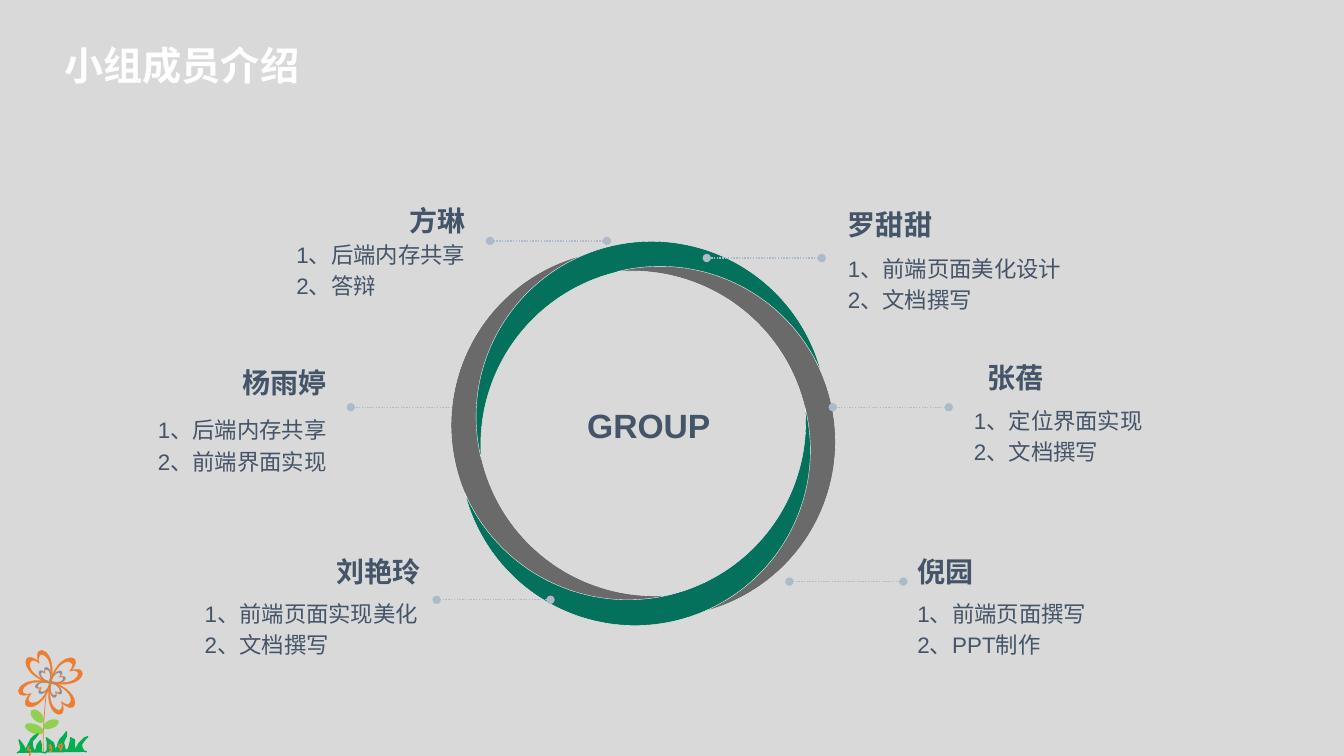
from lxml import etree
from pptx import Presentation
from pptx.dml.color import RGBColor
from pptx.enum.dml import MSO_LINE
from pptx.enum.shapes import MSO_CONNECTOR, MSO_SHAPE
from pptx.enum.text import PP_ALIGN
from pptx.oxml.ns import qn
from pptx.util import Inches, Pt

LEFT, MID, RIGHT = PP_ALIGN.LEFT, PP_ALIGN.CENTER, PP_ALIGN.RIGHT
MOON, OVAL, ARC = MSO_SHAPE.MOON, MSO_SHAPE.OVAL, MSO_SHAPE.ARC
DOTS, LINE = MSO_LINE.ROUND_DOT, MSO_CONNECTOR.STRAIGHT
INK, ORANGE, LEAF, GRASS = "445469", "F07D2D", "92D050", "00B050"

MEMBERS = [
    ("杨雨婷", (1.1, 3.63, 2.14), RIGHT, ["1、后端内存共享", "2、前端界面实现"],
     (-0.27, 0.5, 2.41), RIGHT, (2.38, 0.41, 1.15)),
    ("罗甜甜", (8.41, 2.06, 1.38), LEFT, ["1、前端页面美化设计", "2、文档撰写"],
     (0, 0.47, 2.61), LEFT, (-1.4, 0.5, 1.14)),
    ("刘艳玲", (2.03, 5.5, 2.14), RIGHT, ["1、前端页面实现美化", "2、文档撰写"],
     (0, 0.45, 2.33), LEFT, (2.3, 0.45, 1.13)),
    ("倪园", (9.1, 5.5, 2.14), LEFT, ["1、前端页面撰写", "2、PPT制作"],
     (0, 0.45, 2.57), LEFT, (-1.27, 0.27, 1.13)),
    ("张蓓", (9.79, 3.58, 2.14), LEFT, ["1、定位界面实现", "2、文档撰写"],
     (-0.13, 0.46, 2.41), LEFT, (-1.53, 0.46, 1.15)),
    ("方琳", (2.46, 2.02, 2.16), RIGHT, ["1、后端内存共享", "2、答辩"],
     (0.48, 0.37, 1.92), LEFT, (2.4, 0.37, 1.16)),
]

PETAL = [
    [(0.21, -0.19), (0.18, -0.23), (0.06, -0.2), (0.01, -0.01),
     (0.29, 0.06), (0.35, -0.16), (0.19, -0.11),
     (0.22, -0.15), (0.23, -0.18), (0.21, -0.19)],
    [(0.24, -0.23), (0.26, -0.21), (0.25, -0.17), (0.21, -0.12),
     (0.41, -0.18), (0.33, 0.09), (-0.01, 0),
     (0.06, -0.23), (0.2, -0.27), (0.24, -0.23)],
]

BLADES = [
    (0.01, 0.21), (0.04, 0.19), (0.05, 0.16), (0.04, 0.12), (0.03, 0.08),
    (0.06, 0.12), (0.08, 0.15), (0.09, 0.19), (0.11, 0.15), (0.13, 0.11),
    (0.15, 0.07), (0.18, 0.04), (0.22, 0.02), (0.19, 0.06), (0.16, 0.09),
    (0.16, 0.13), (0.17, 0.17), (0.19, 0.2), (0.2, 0.17), (0.21, 0.13),
    (0.24, 0.09), (0.25, 0.13), (0.25, 0.16), (0.25, 0.2), (0.29, 0.21),
    (0.31, 0.18), (0.31, 0.14), (0.31, 0.1), (0.3, 0.06), (0.33, 0.08),
    (0.37, 0.11), (0.38, 0.15), (0.38, 0.19), (0.41, 0.15), (0.42, 0.11),
    (0.44, 0.07), (0.47, 0.04), (0.5, 0), (0.5, 0.04), (0.48, 0.08),
    (0.47, 0.11), (0.48, 0.15), (0.49, 0.19), (0.52, 0.17), (0.53, 0.13),
    (0.54, 0.09), (0.54, 0.06), (0.58, 0.08), (0.58, 0.12), (0.58, 0.15),
    (0.57, 0.19), (0.6, 0.16), (0.62, 0.12), (0.65, 0.09), (0.68, 0.06),
    (0.71, 0.05), (0.68, 0.08), (0.65, 0.12), (0.65, 0.15), (0.67, 0.19),
    (0.7, 0.2),
]

CURLS = [
    [(0.13, 0.14), (0.11, 0.18), (0.15, 0.18)],
    [(0.32, 0.14), (0.34, 0.13), (0.35, 0.15), (0.33, 0.16), (0.35, 0.16),
     (0.35, 0.19), (0.33, 0.2)],
    [(0.45, 0.16), (0.43, 0.16), (0.42, 0.14), (0.45, 0.12), (0.46, 0.14),
     (0.45, 0.16), (0.44, 0.19)],
    [(0.14, 0.17), (0.14, 0.21), (0.13, 0.24)],
]


def tint(text):
    """Turn a hex string into a colour."""
    return RGBColor.from_string(text)


def paint(shape, fill, line, width):
    """Set fill, outline and no shadow."""
    shape.shadow.inherit = False
    if fill:
        shape.fill.solid()
        shape.fill.fore_color.rgb = tint(fill)
    else:
        shape.fill.background()
    shape.line.color.rgb = tint(line)
    shape.line.width = Pt(width)


def write(slide, box, lines, size, color=INK, bold=False, align=LEFT,
          face="Arial", inset=True):
    """Add a text box with one paragraph per line."""
    frame = slide.shapes.add_textbox(*map(Inches, box)).text_frame
    frame.word_wrap = True
    if not inset:
        frame.margin_left = frame.margin_right = 0
        frame.margin_top = frame.margin_bottom = 0
    for i, line in enumerate(lines):
        para = frame.paragraphs[0] if i == 0 else frame.add_paragraph()
        para.text = line
        para.alignment = align
        if i:
            para.space_before = Pt(size * 0.2)
        font = para.font
        font.size, font.bold, font.name = Pt(size), bold, face
        font.color.rgb = tint(color)


def link(slide, x, y, width):
    """Draw a dotted line with a dot at each end."""
    wire = slide.shapes.add_connector(
        LINE, Inches(x + width), Inches(y), Inches(x), Inches(y))
    wire.line.color.rgb = tint("ADBACA")
    wire.line.width = Pt(1)
    wire.line.dash_style = DOTS
    props = wire._element.spPr.find(qn("a:ln"))
    for end in ("a:headEnd", "a:tailEnd"):
        etree.SubElement(props, qn(end), type="oval")
    etree.SubElement(wire._element.spPr, qn("a:effectLst"))


def member(slide, name, box, side, jobs, job, align, wire):
    """Place a name, its jobs and its link to the ring."""
    x, y, width = box
    link(slide, x + wire[0], y + wire[1], wire[2])
    write(slide, (x, y, width, 0.34), [name], 20, bold=True, align=side,
          inset=False)
    write(slide, (x + job[0], y + job[1], job[2], 0.59), jobs, 16,
          align=align, inset=False)


def ring(slide, x, y):
    """Draw four turned moons round a centre with its label."""
    wide, tall = 1.74, 3.48
    dx, dy = -1.01, 0.13
    for i in range(4):
        box = (x + dx - wide / 2, y + dy - tall / 2, wide, tall)
        moon = slide.shapes.add_shape(MOON, *map(Inches, box))
        moon.adjustments[0] = 0.152
        moon.rotation = (345.9 + 90 * i) % 360
        paint(moon, "03715B" if i % 2 else "6A6A6A", "F8F8F8", 0.25)
        dx, dy = -dy, dx
    write(slide, (x - 1.1, y - 0.33, 2.31, 0.5), ["GROUP"], 24, bold=True,
          align=MID)


def trace(slide, x, y, loops, close):
    """Build an outline from loops of points about an origin."""
    loops = [[(Inches(x + a), Inches(y + b)) for a, b in loop]
             for loop in loops]
    pen = slide.shapes.build_freeform(*loops[0][0])
    for i, loop in enumerate(loops):
        if i:
            pen.move_to(*loop[0])
        pen.add_line_segments(loop[1:], close=close)
    return pen.convert_to_shape()


def bend(shape):
    """Join each three line steps of an outline into one cubic curve."""
    steps = list(shape._element.iter(qn("a:lnTo")))
    for i in range(0, len(steps), 3):
        cubic = etree.Element(qn("a:cubicBezTo"))
        steps[i].addprevious(cubic)
        for step in steps[i:i + 3]:
            cubic.append(step[0])
            step.getparent().remove(step)


def flower(slide, x, y):
    """Draw stem, leaves, petals and grass in a corner box."""
    stalk = [
        (ARC, (0.3, 0, 0.09, 1.21), 186, None, ORANGE, 0.5),
        (OVAL, (0.14, 0.88, 0.08, 0.18), 290, LEAF, LEAF, 1),
        (OVAL, (0.17, 0.77, 0.08, 0.15), 315, LEAF, LEAF, 1),
        (OVAL, (0.31, 0.85, 0.07, 0.15), 68, LEAF, LEAF, 1),
    ]
    for kind, (a, b, w, h), turn, fill, line, width in stalk:
        part = slide.shapes.add_shape(
            kind, *map(Inches, (x + a, y + b, w, h)))
        part.rotation = turn
        paint(part, fill, line, width)
    for scale, fill in ((1, "ED7D31"), (0.47, "5B9BD5")):
        loops = [[(a * scale, b * scale) for a, b in nodes]
                 for nodes in PETAL]
        for i in range(4):
            petal = trace(slide, x + 0.34, y + 0.51, loops, True)
            bend(petal)
            paint(petal, fill, ORANGE, 0.25)
            loops = [[(b, -a) for a, b in loop] for loop in loops]
    paint(trace(slide, x, y + 1, [BLADES], False), GRASS, GRASS, 1)
    for curl in CURLS:
        paint(trace(slide, x, y + 1, [curl], False), None, ORANGE, 1)


def main():
    """Build the team slide and save it."""
    deck = Presentation()
    deck.slide_width, deck.slide_height = Inches(13.33), Inches(7.5)
    slide = deck.slides.add_slide(deck.slide_layouts[6])
    slide.background.fill.solid()
    slide.background.fill.fore_color.rgb = tint("D9D9D9")
    write(slide, (0.54, 0.36, 4.74, 0.57), ["小组成员介绍"], 28, "FFFFFF",
          True, face="Noto Sans CJK SC")
    member(slide, *MEMBERS[0])
    ring(slide, 6.38, 4.3)
    for person in MEMBERS[1:]:
        member(slide, *person)
    flower(slide, 0.16, 6.26)
    deck.save("out.pptx")


if __name__ == "__main__":
    main()
